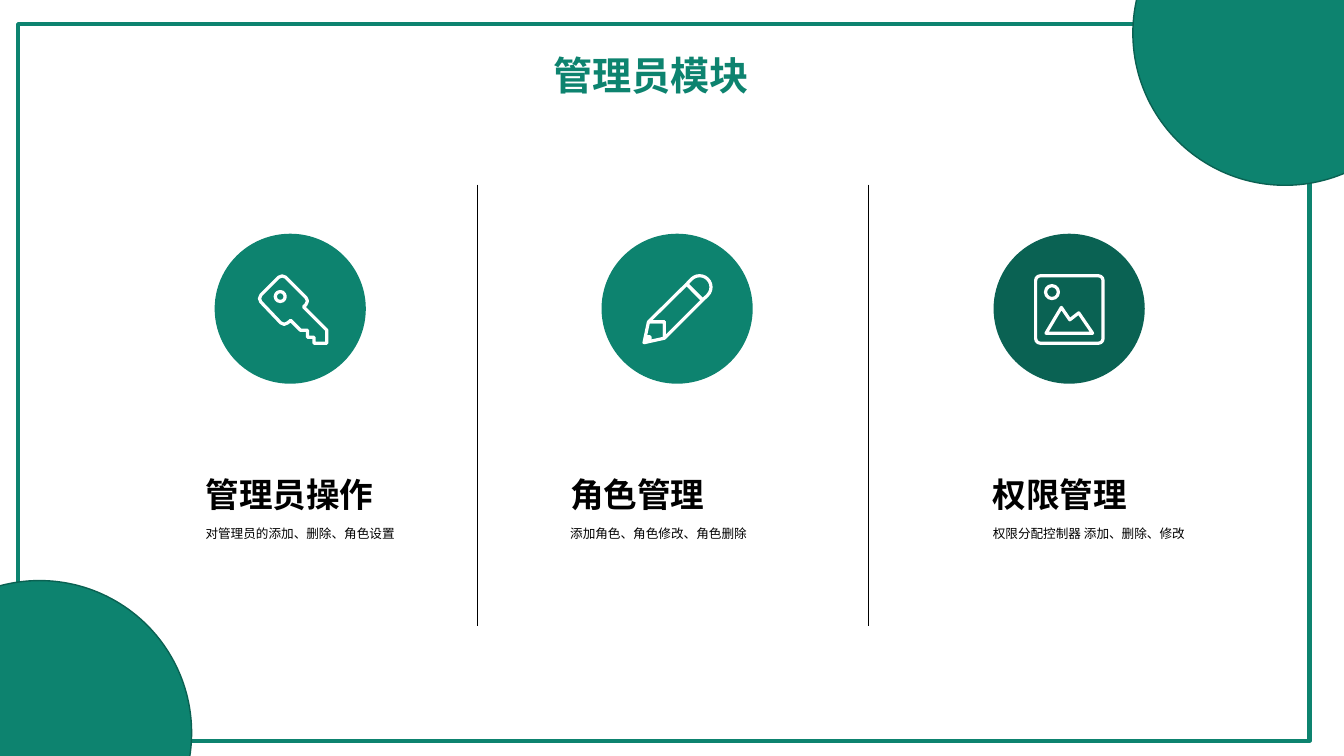
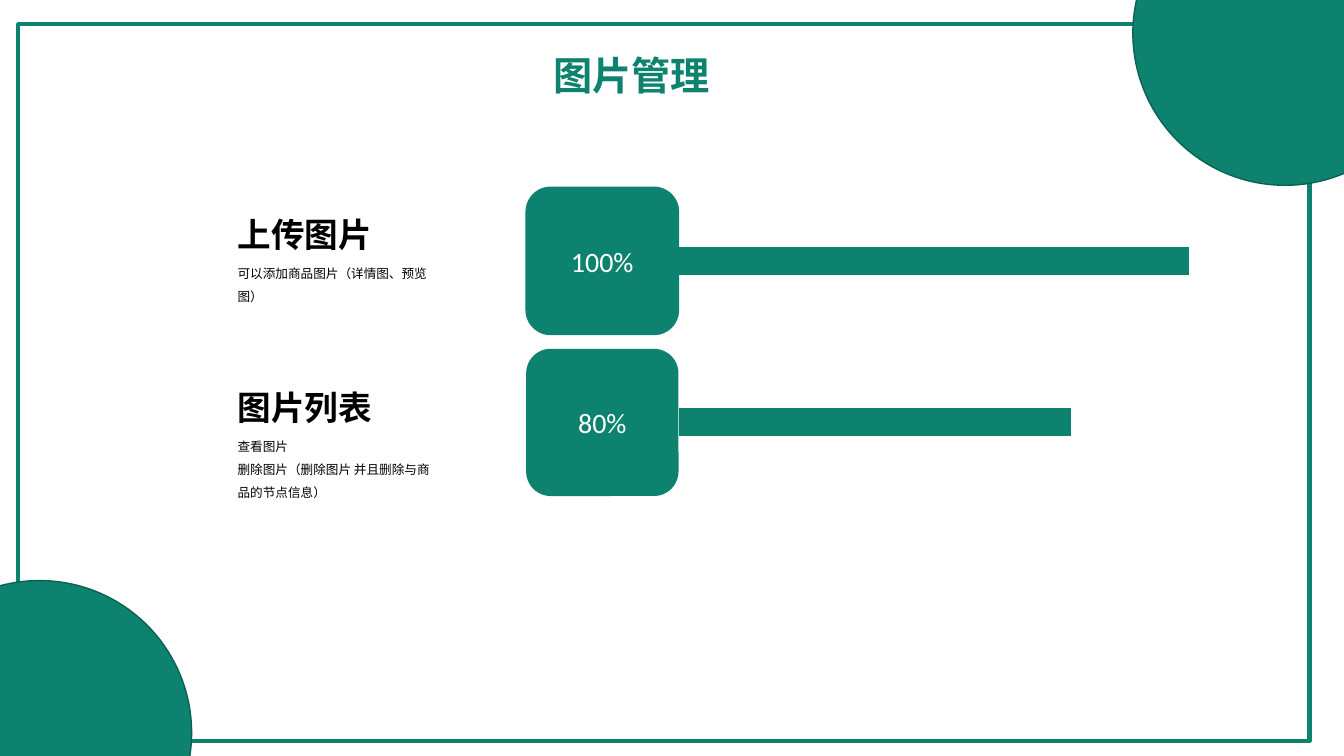
from math import cos, radians, sin

from lxml.etree import SubElement
from pptx import Presentation
from pptx.dml.color import RGBColor
from pptx.enum.shapes import MSO_CONNECTOR, MSO_SHAPE as SH
from pptx.enum.text import MSO_ANCHOR, MSO_AUTO_SIZE, PP_ALIGN
from pptx.oxml.ns import qn
from pptx.util import Cm, Pt

COLORS = {"green": "0D836F", "edge": "0A6152", "dark": "0A6253",
          "white": "FFFFFF", "black": "000000"}
RGB = {name: RGBColor.from_string(value) for name, value in COLORS.items()}
FONT = "Calibri"


def add_text(slide, text, x, y, w, h, size=9, color="black", bold=False,
             wrap=False, spacing=None):
    tf = slide.shapes.add_textbox(Cm(x), Cm(y), Cm(w), Cm(h)).text_frame
    tf.word_wrap = wrap
    tf.auto_size = MSO_AUTO_SIZE.SHAPE_TO_FIT_TEXT
    tf.text = text
    for p in tf.paragraphs:
        p.line_spacing = spacing
        p.font.name, p.font.size, p.font.bold = FONT, Pt(size), bold
        p.font.color.rgb = RGB[color]


def style(sp, fill=None, line=None, width=1):
    sp.shadow.inherit = False
    if fill:
        sp.fill.solid()
        sp.fill.fore_color.rgb = RGB[fill]
    else:
        sp.fill.background()
    if line:
        sp.line.color.rgb = RGB[line]
        sp.line.width = Pt(width)
    else:
        sp.line.fill.background()


prs = Presentation()
prs.slide_width, prs.slide_height = Cm(33.87), Cm(19.05)
layout = prs.slide_layouts[6]
admin = prs.slides.add_slide(layout)
images = prs.slides.add_slide(layout)
connectors = []

# Shared frame and corner discs, moved to the layout
for ph in list(layout.placeholders):
    ph.element.getparent().remove(ph.element)
for kind, x, y, w, h, fill, line, width in [
    (SH.RECTANGLE, 0.46, 0.61, 32.54, 18.06, "white", "green", 3),
    (SH.OVAL, 28.55, -3, 7.67, 7.67, "green", "edge", 1),
    (SH.OVAL, -2.84, 14.63, 7.67, 7.67, "green", "edge", 1),
]:
    sp = admin.shapes.add_shape(kind, Cm(x), Cm(y), Cm(w), Cm(h))
    style(sp, fill, line, width)
    layout.shapes.element.append(sp.element)

# Slide titles
for slide, title, w in [(admin, "管理员模块", 5.51), (images, "图片管理", 4.5)]:
    add_text(slide, title, 13.69, 1.17, w, 1.45, size=28, color="green", bold=True)

# Icons on a grid of 72 units: outlines, then preset shapes
UNIT = Cm(1.8) / 72
ICON_STROKE = 2.3
pencil_cap = [(58 + 11.5 * cos(radians(a)), 13 + 11.5 * sin(radians(a)))
              for a in range(225, 406, 15)]
key = {
    "outlines": [
        [(21, 3), (24.5, 1.7), (28, 3), (48.5, 23.5), (50, 27), (48.5, 30.5),
         (46, 33), (69.5, 56.5), (69.5, 69.5), (56.5, 69.5), (56.5, 63.5),
         (50, 63.5), (50, 56.5), (43, 56.5), (33, 46.5), (30, 49),
         (26.5, 50.5), (23, 49), (3, 28), (1.6, 24.5), (3, 21)],
    ],
    "presets": [(SH.OVAL, 17.5, 17.5, 10)],
}
pencil = {
    "outlines": [
        pencil_cap + [(61, 26), (45, 10)],
        [(45, 10), (61, 26), (22.5, 64.5), (22.5, 48), (6.5, 48)],
        [(6.5, 48), (22.5, 48), (22.5, 64.5), (2, 69)],
        [(3, 68), (5, 63), (8, 63), (8, 66)],
    ],
    "presets": [],
}
picture = {
    "outlines": [[(12, 59.5), (27.5, 33.5), (36, 46), (45, 39), (59, 59.5)]],
    "presets": [(SH.ROUNDED_RECTANGLE, 1.6, 1.6, 68), (SH.OVAL, 11.5, 11.5, 13)],
}

# Three columns: disc, icon, heading, description
for disc_x, fill, icon, icon_x, text_x, w, heading, body in [
    (5.41, "green", key, 6.5, 4.93, 4.78, "管理员操作",
     "对管理员的添加、删除、角色设置"),
    (15.16, "green", pencil, 16.18, 14.12, 3.94, "角色管理",
     "添加角色、角色修改、角色删除"),
    (25.04, "dark", picture, 26.06, 24.77, 3.94, "权限管理",
     "权限分配控制器 添加、删除、修改"),
]:
    disc = admin.shapes.add_shape(SH.OVAL, Cm(disc_x), Cm(5.89), Cm(3.81), Cm(3.78))
    style(disc, fill)
    left, top = Cm(icon_x), Cm(6.91)
    for outline in icon["outlines"]:
        points = [(round(left + x * UNIT), round(top + y * UNIT)) for x, y in outline]
        builder = admin.shapes.build_freeform(*points[0])
        builder.add_line_segments(points[1:], close=True)
        style(builder.convert_to_shape(), None, "white", ICON_STROKE)
    for kind, x, y, size in icon["presets"]:
        sp = admin.shapes.add_shape(kind, round(left + x * UNIT), round(top + y * UNIT),
                                    round(size * UNIT), round(size * UNIT))
        if kind == SH.ROUNDED_RECTANGLE:
            sp.adjustments[0] = 0.07
        style(sp, None, "white", ICON_STROKE)
    add_text(admin, heading, text_x, 11.81, w, 1.27, size=24, bold=True)
    add_text(admin, body, text_x, 12.93, 5.36, 0.76, wrap=True, spacing=1.5)

# Column dividers
for x in (12.04, 21.89):
    divider = admin.shapes.add_connector(
        MSO_CONNECTOR.STRAIGHT, Cm(x), Cm(4.65), Cm(x), Cm(15.77))
    divider.line.color.rgb = RGB["black"]
    divider.line.width = Pt(1)
    connectors.append(divider)

# Progress rows: heading, description, percentage box, bar
for y, share, line, bar_end, text_y, body_h, heading, body in [
    (4.72, "100%", "green", 29.97, 5.26, 1.35, "上传图片",
     "可以添加商品图片（详情图、预览图）"),
    (8.79, "80%", None, 27, 9.63, 1.98, "图片列表",
     "查看图片\n删除图片（删除图片 并且删除与商品的节点信息）"),
]:
    add_text(images, heading, 5.74, text_y, 3.94, 1.27, size=24, bold=True)
    add_text(images, body, 5.74, text_y + 1.12, 5.36, body_h, wrap=True, spacing=1.5)
    box = images.shapes.add_shape(
        SH.ROUNDED_RECTANGLE, Cm(13.26), Cm(y), Cm(3.84), Cm(3.71))
    style(box, "green", line)
    tf = box.text_frame
    tf.vertical_anchor = MSO_ANCHOR.MIDDLE
    tf.text = share
    p = tf.paragraphs[0]
    p.alignment = PP_ALIGN.CENTER
    p.font.name, p.font.size = FONT, Pt(20)
    p.font.color.rgb = RGB["white"]
    mid = box.top + box.height // 2
    bar = images.shapes.add_connector(
        MSO_CONNECTOR.STRAIGHT, box.left + box.width, mid, Cm(bar_end), mid)
    bar.begin_connect(box, 3)
    bar.line.color.rgb = RGB["green"]
    bar.line.width = Pt(20)
    connectors.append(bar)

# Lines without shadow
for connector in connectors:
    SubElement(connector.element.spPr, qn("a:effectLst"))

prs.save("out.pptx")
